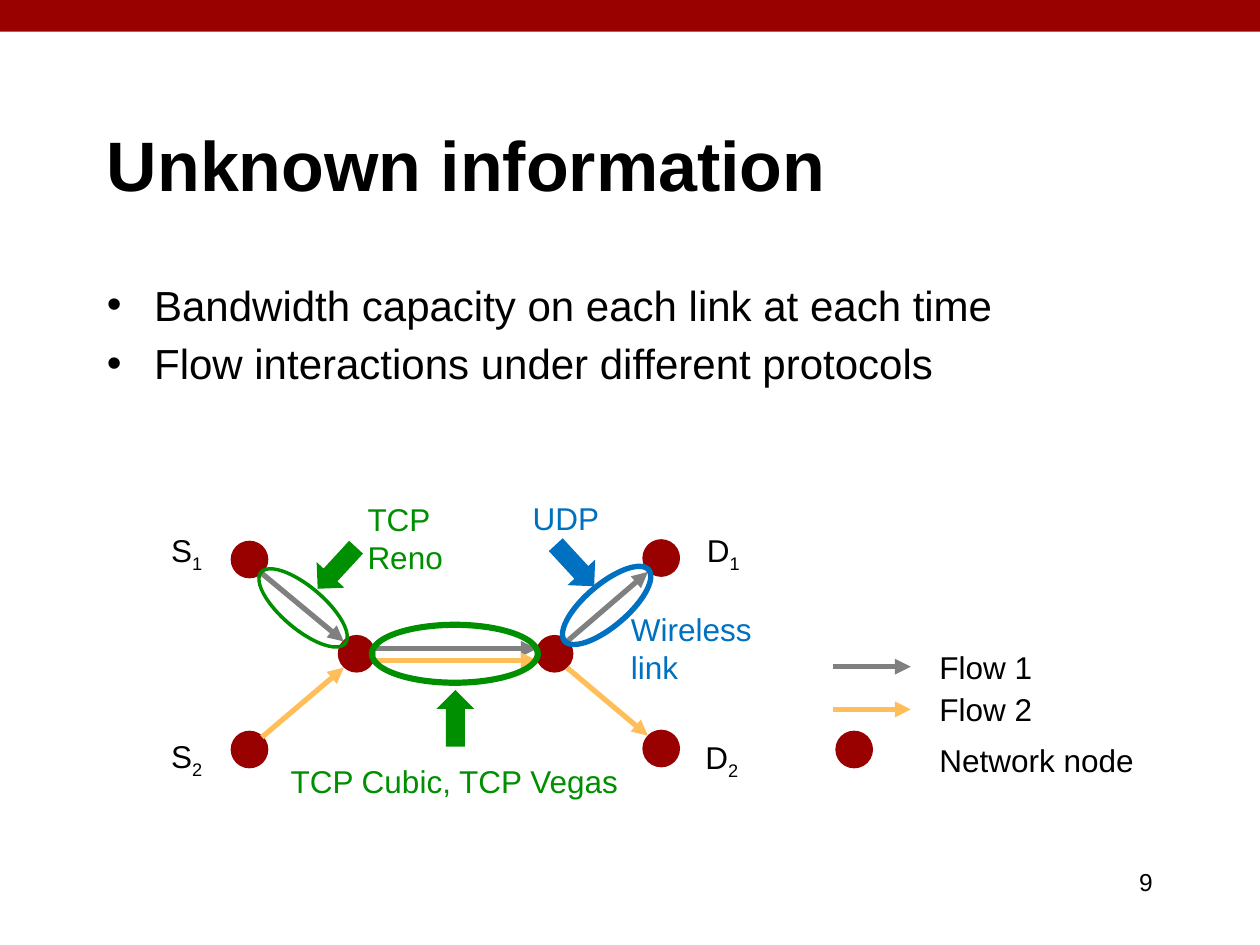
from lxml import etree
from pptx import Presentation
from pptx.dml.color import RGBColor
from pptx.enum.shapes import MSO_CONNECTOR, MSO_SHAPE
from pptx.enum.text import MSO_ANCHOR, PP_ALIGN
from pptx.oxml.ns import qn
from pptx.util import Cm, Pt

RECT, OVAL = MSO_SHAPE.RECTANGLE, MSO_SHAPE.OVAL
RING, ARROW = MSO_SHAPE.DONUT, MSO_SHAPE.RIGHT_ARROW
LINE = MSO_CONNECTOR.STRAIGHT
LEFT, RIGHT = PP_ALIGN.LEFT, PP_ALIGN.RIGHT
MIDDLE = MSO_ANCHOR.MIDDLE

RED, BLACK, GREEN, BLUE = "990000", "000000", "008F00", "0070C0"
GRAY, GOLD = "808080", "FFBE5A"  # flow 1, flow 2
NODE = 0.76


def color(code):
    return RGBColor.from_string(code)


def style(frame, size, code=BLACK, bold=False, align=LEFT):
    for para in frame.paragraphs:
        para.alignment = align
        for run in para.runs:
            font = run.font
            font.name, font.size, font.bold = "Arial", Pt(size), bold
            font.color.rgb = color(code)


def place(shape, box):
    shape.left, shape.top, shape.width, shape.height = map(Cm, box)


def shift(box, x, y):
    return box[0] + x, box[1] + y


def shape(slide, kind, box, code, turn=0):
    item = slide.shapes.add_shape(kind, *map(Cm, box))
    item.shadow.inherit = False
    item.fill.solid()
    item.fill.fore_color.rgb = color(code)
    item.line.fill.background()
    item.rotation = turn
    return item


def node(slide, x, y):
    shape(slide, OVAL, (x, y, NODE, NODE), RED)


def ring(slide, box, code, width, turn=0):
    item = shape(slide, RING, box, code, turn)
    item.adjustments[0] = 0.043
    item.line.color.rgb = color(code)
    item.line.width = Pt(width)


def flow(slide, start, end, code):
    item = slide.shapes.add_connector(LINE, *map(Cm, (*start, *end)))
    item.line.color.rgb = color(code)
    item.line.width = Pt(3)
    etree.SubElement(item.line._get_or_add_ln(), qn("a:tailEnd"), type="triangle")
    etree.SubElement(item._element.spPr, qn("a:effectLst"))


def label(slide, box, text, code=BLACK, sub="", size=18, align=LEFT):
    frame = slide.shapes.add_textbox(*map(Cm, box)).text_frame
    frame.word_wrap = True
    frame.text = text
    if sub:
        run = frame.paragraphs[0].add_run()
        run.text = sub
        run.font._element.set("baseline", "-25000")
    style(frame, size, code, align=align)


def head(slide, box):
    title = slide.shapes.title
    place(title, box)
    title.text_frame.text = "Unknown information"
    title.text_frame.vertical_anchor = MIDDLE
    style(title.text_frame, 40, bold=True)


def points(slide, box):
    body = slide.placeholders[1]
    place(body, box)
    body.text_frame.text = ("Bandwidth capacity on each link at each time\n"
                            "Flow interactions under different protocols")
    style(body.text_frame, 24)


def network(slide, box):
    def at(x, y):
        return shift(box, x, y)

    # Nodes: sources, two routers, destinations
    for x, y in ((1.45, 1), (1.45, 4.83), (3.61, 2.9),
                 (7.6, 2.9), (9.75, 0.97), (9.75, 4.81)):
        node(slide, *at(x, y))

    # Flow on each link
    for start, end, code in (
            ((2.08, 1.66), (3.73, 3.03), GRAY),
            ((2.08, 4.96), (3.73, 3.56), GOLD),
            ((4.32, 3.18), (7.62, 3.18), GRAY),
            ((4.32, 3.41), (7.62, 3.41), GOLD),
            ((8.23, 3.03), (9.86, 1.63), GRAY),
            ((8.23, 3.56), (9.86, 4.93), GOLD)):
        flow(slide, at(*start), at(*end), code)

    # Names of the end points
    for x, y, text, sub in ((0, 0.69, "S", "1"), (0, 4.83, "S", "2"),
                            (10.8, 0.69, "D", "1"), (10.77, 4.86, "D", "2")):
        label(slide, (*at(x, y), 1.37, 1.02), text, sub=sub)

    # Rings around the links
    ring(slide, (*at(4.27, 2.67), 3.4, 1.22), GREEN, 2.08)
    ring(slide, (*at(7.9, 1.86), 2.26, 0.89), BLUE, 2.08, 319.7)
    ring(slide, (*at(1.78, 1.91), 2.26, 0.89), GREEN, 1, 40.3)

    # Block arrows pointing at the rings
    for x, y, code, turn in ((5.41, 4.2, GREEN, 270), (3.02, 1.17, GREEN, 132.7),
                             (7.82, 1.12, BLUE, 47.3)):
        shape(slide, ARROW, (*at(x, y), 1.14, 0.76), code, turn)

    # Protocols and link type
    for x, y, wide, high, text, code in (
            (3.96, 0.06, 3.18, 1.8, "TCP Reno", GREEN),
            (7.29, 0.03, 1.91, 1.02, "UDP", BLUE),
            (9.27, 2.27, 3.25, 1.8, "Wireless\nlink", BLUE),
            (2.41, 5.34, 8.28, 1.02, "TCP Cubic, TCP Vegas", GREEN)):
        label(slide, (*at(x, y), wide, high), text, code)


def legend(slide, box):
    for y, code in ((0.51, GRAY), (1.37, GOLD)):
        flow(slide, shift(box, 0, y), shift(box, 1.56, y), code)
    node(slide, *shift(box, 0.04, 1.8))
    for y, text in ((0, "Flow 1"), (0.86, "Flow 2"), (1.88, "Network node")):
        label(slide, (*shift(box, 1.89, y), 4.83, 1.02), text)


def main():
    deck = Presentation()
    deck.slide_width, deck.slide_height = Cm(25.4), Cm(19.05)
    slide = deck.slides.add_slide(deck.slide_layouts[1])

    shape(slide, RECT, (0, 0, 25.4, 0.64), RED)  # top band
    head(slide, (1.9, 1.7, 21.6, 3.18))
    points(slide, (1.9, 5.5, 21.6, 11.43))
    network(slide, (3.2, 9.9))
    legend(slide, (16.8, 12.93))
    label(slide, (18.21, 17.35, 5.28, 1.27), "9", size=14, align=RIGHT)

    deck.save("out.pptx")


if __name__ == "__main__":
    main()
